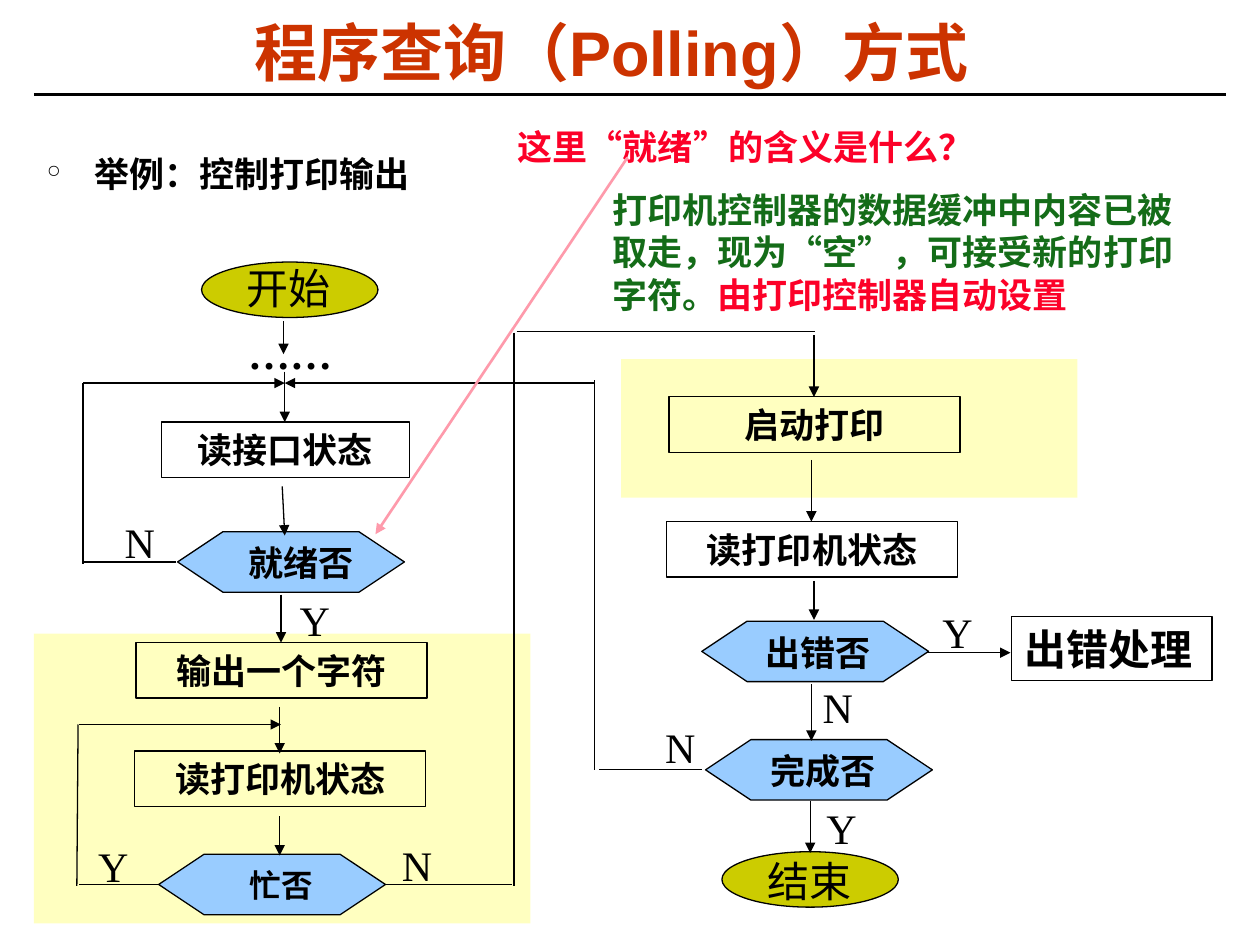
import dataclasses
import itertools

import pptx
import pptx.dml.color
import pptx.enum.shapes
import pptx.enum.text
import pptx.oxml.ns
import pptx.util
from lxml import etree

PX = 9144  # 100 px to the inch
SHAPES = pptx.enum.shapes.MSO_SHAPE
ALIGN = pptx.enum.text.PP_ALIGN
LEFT, CENTER = ALIGN.LEFT, ALIGN.CENTER


@dataclasses.dataclass(frozen=True)
class Theme:
    ink: str = "000000"
    title: str = "CC3300"
    alert: str = "FC0128"
    answer: str = "146C18"
    panel: str = "FFFF99"
    oval: str = "CCCC00"
    decision: str = "99CCFF"
    pointer: str = "FE9AAB"
    sans: str = "Arial"
    serif: str = "Times New Roman"
    cjk: str = "Noto Sans CJK SC"
    title_size: int = 36
    large: int = 24
    body: int = 20
    small: int = 18


THEME = Theme()


def emu(*lengths):
    return [pptx.util.Emu(length * PX) for length in lengths]


def rgb(code):
    return pptx.dml.color.RGBColor.from_string(code)


def add_child(parent, tag, **attributes):
    return etree.SubElement(parent, pptx.oxml.ns.qn(tag), **attributes)


def apply(target, values):
    for name, value in values.items():
        setattr(target, name, value)


def within(box, x, y):
    return box[0] + x, box[1] + y


def add_span(para, text, size, color, bold, font):
    span = para.add_run()
    span.text = text
    apply(span.font, {"size": pptx.util.Pt(size), "bold": bold, "name": font})
    span.font.color.rgb = rgb(color)
    add_child(span.font._element, "a:ea", typeface=THEME.cjk)


def write(shape, pieces, size, bold=True, font=THEME.serif, align=LEFT,
          inset=(10, 5), spacing=None):
    """Fill a shape with one paragraph of (text, colour) pieces."""
    frame = shape.text_frame
    side, edge = emu(*inset)
    apply(frame, {
        "word_wrap": True,
        "vertical_anchor": pptx.enum.text.MSO_ANCHOR.MIDDLE,
        "margin_left": side, "margin_right": side,
        "margin_top": edge, "margin_bottom": edge,
    })
    para = frame.paragraphs[0]
    apply(para, {"alignment": align, "line_spacing": spacing})
    for text, color in pieces:
        for quoted, letters in itertools.groupby(text, lambda letter: letter in "“”"):
            add_span(para, "".join(letters), size, color, bold,
                     THEME.cjk if quoted else font)
    return para


def add_text(page, x, y, width, height, pieces, size, **style):
    box = page.shapes.add_textbox(*emu(x, y, width, height))
    return write(box, pieces, size, **style)


def add_block(page, kind, x, y, width, height, fill=None, outlined=True):
    shape = page.shapes.add_shape(kind, *emu(x, y, width, height))
    shape.shadow.inherit = False
    if fill:
        shape.fill.solid()
        shape.fill.fore_color.rgb = rgb(fill)
    else:
        shape.fill.background()
    if outlined:
        shape.line.color.rgb = rgb(THEME.ink)
        shape.line.width = pptx.util.Pt(0.75)
    else:
        shape.line.fill.background()
    return shape


def add_line(page, start, end, arrow=False, color=THEME.ink, width=0.75):
    straight = pptx.enum.shapes.MSO_CONNECTOR.STRAIGHT
    line = page.shapes.add_connector(straight, *emu(*start, *end))
    line.line.color.rgb = rgb(color)
    line.line.width = pptx.util.Pt(width)
    if arrow:
        add_child(line.line._get_or_add_ln(), "a:tailEnd", type="triangle")
    add_child(line._element.spPr, "a:effectLst")


def add_lines(page, box, lines, arrow=False):
    for x1, y1, x2, y2 in lines:
        add_line(page, within(box, x1, y1), within(box, x2, y2), arrow)


def add_panel(page, x, y, width, height):
    panel = add_block(page, SHAPES.RECTANGLE, x, y, width, height, THEME.panel, False)
    color = panel.fill._xPr.find(".//" + pptx.oxml.ns.qn("a:srgbClr"))
    add_child(color, "a:alpha", val="61000")


def add_terminal(page, x, y, text, lift):
    """Oval with its caption box raised by lift."""
    add_block(page, SHAPES.OVAL, x, y, 140, 44, THEME.oval)
    add_text(page, x + 26, y - lift, 137, 50, [(text, THEME.ink)], THEME.large, bold=False)


def add_step(page, x, y, text, width=231, height=44, size=THEME.body, align=CENTER):
    step = add_block(page, SHAPES.RECTANGLE, x, y, width, height)
    write(step, [(text, THEME.ink)], size, align=align)


def add_decision(page, x, y, text, shift, size=THEME.body):
    """Hexagon with its caption moved right by shift."""
    add_block(page, SHAPES.FLOWCHART_PREPARATION, x, y, 180, 48, THEME.decision)
    add_text(page, x + 29 + shift, y + 3, 122, 43, [(text, THEME.ink)], size, align=CENTER)


def add_branch_labels(page, box, labels):
    for text, x, y in labels:
        add_text(page, *within(box, x, y), 59, 50, [(text, THEME.ink)],
                 THEME.large, bold=False)


def header(page, box):
    add_line(page, within(box, 0, 75), within(box, 946, 75), width=1.5)
    add_text(page, *within(box, 48, 16), 820, 58, [("程序查询（Polling）方式", THEME.title)],
             THEME.title_size, font=THEME.sans, align=CENTER, inset=(7, 3), spacing=0.87)
    para = add_text(page, *within(box, 3, 118), 440, 39, [("举例：控制打印输出", THEME.ink)],
                    THEME.body, font=THEME.sans, inset=(7, 3))
    props = para._p.get_or_add_pPr()
    indent = 38 * PX
    props.set("marL", str(indent))
    props.set("indent", str(-indent))
    add_child(props, "a:buChar", char="°")


def waiting_column(page, box):
    """Left half: wait for ready, send one character, wait while busy."""
    add_panel(page, *within(box, 0, 300), 394, 230)
    add_terminal(page, *within(box, 133, 5), "开始", 5)
    add_text(page, *within(box, 160, 52), 119, 50, [("……", THEME.ink)], THEME.large)
    add_step(page, *within(box, 101, 132), "读接口状态", width=197)
    add_step(page, *within(box, 81, 307), "输出一个字符")
    add_step(page, *within(box, 80, 393), "读打印机状态")
    add_decision(page, *within(box, 114, 219), "就绪否", 8)
    add_decision(page, *within(box, 99, 475), "忙否", 7, THEME.small)
    add_lines(page, box, [
        (198, 52, 198, 78), (199, 92, 199, 132), (197, 183, 199, 222),
        (196, 269, 196, 307), (195, 358, 195, 395), (195, 445, 195, 476),
        (39, 101, 199, 101), (36, 372, 196, 372),
    ], arrow=True)
    add_lines(page, box, [
        (113, 243, 39, 243), (39, 101, 39, 245),
        (98, 499, 36, 499), (35, 372, 34, 500),
        (279, 499, 379, 499), (383, 60, 620, 60),
    ])
    add_line(page, within(box, 381, 61), within(box, 381, 500), width=1)
    add_branch_labels(page, box, [("N", 62, 202), ("Y", 201, 264),
                                  ("N", 282, 458), ("Y", 41, 459)])


def printing_column(page, box):
    """Right half: start printing, check for errors, loop until done."""
    add_panel(page, *within(box, 23, 25), 362, 110)
    add_step(page, *within(box, 61, 55), "启动打印")
    add_step(page, *within(box, 59, 154), "读打印机状态")
    add_step(page, *within(box, 333, 229), "出错处理", 159, 51, THEME.large, LEFT)
    add_decision(page, *within(box, 87, 233), "出错否", 2)
    add_decision(page, *within(box, 90, 327), "完成否", 3)
    add_terminal(page, *within(box, 103, 416), "结束", 2)
    add_lines(page, box, [
        (176, 6, 176, 55), (174, 105, 174, 154), (176, 201, 176, 232),
        (174, 283, 174, 328), (173, 376, 173, 417),
        (266, 258, 332, 258), (2, 44, -244, 44),
    ], arrow=True)
    add_lines(page, box, [(87, 351, 5, 351), (2, 42, 2, 351)])
    add_branch_labels(page, box, [("Y", 176, 372), ("N", 48, 308),
                                  ("N", 173, 276), ("Y", 268, 216)])


def question(page, box):
    add_text(page, *within(box, 0, 0), 498, 43, [("这里“就绪”的含义是什么？", THEME.alert)],
             THEME.body, font=THEME.sans)
    add_text(page, *within(box, 75, 50), 488, 110, [
        ("打印机控制器的数据缓冲中内容已被取走，现为“空”，可接受新的打印字符。", THEME.answer),
        ("由打印控制器自动设置", THEME.alert),
    ], THEME.body, font=THEME.sans, spacing=pptx.util.Pt(24))
    add_line(page, within(box, 97, 30), within(box, -103, 329), True, THEME.pointer, 1.5)


def main():
    deck = pptx.Presentation()
    deck.slide_width, deck.slide_height = emu(1000, 750)
    page = deck.slides.add_slide(deck.slide_layouts[6])
    header(page, (27, 0))
    waiting_column(page, (27, 203))
    printing_column(page, (470, 260))
    question(page, (401, 95))
    deck.save("out.pptx")


if __name__ == "__main__":
    main()
